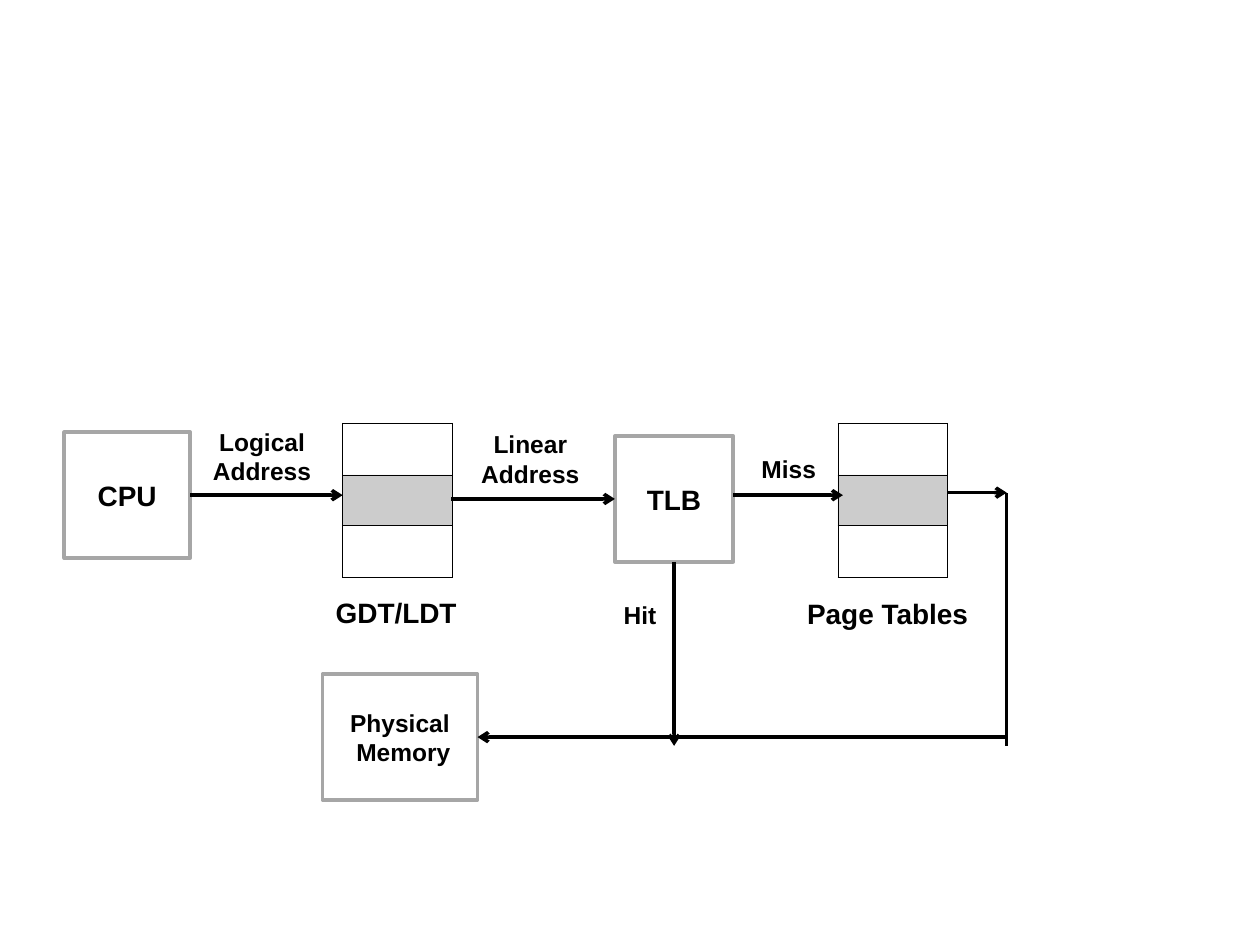
from lxml.etree import SubElement
from pptx import Presentation
from pptx.dml.color import RGBColor
from pptx.enum.shapes import MSO_CONNECTOR, MSO_SHAPE
from pptx.enum.text import MSO_ANCHOR, PP_ALIGN
from pptx.oxml.ns import qn
from pptx.util import Inches, Pt

COLORS = {"ink": "000000", "frame": "A6A6A6"}


def rgb(name):
    return RGBColor.from_string(COLORS[name])


def write_text(tf, text, size=14, bold=True, color="ink", font="Arial"):
    tf.word_wrap = True
    tf.vertical_anchor = MSO_ANCHOR.MIDDLE
    for i, line in enumerate(text.split("\n")):
        p = tf.paragraphs[0] if i == 0 else tf.add_paragraph()
        p.alignment = PP_ALIGN.CENTER
        r = p.add_run()
        r.text = line
        r.font.name, r.font.size, r.font.bold = font, Pt(size), bold
        r.font.color.rgb = rgb(color)


class Diagram:
    """Holds the line style and the current slide, and draws its elements."""

    line_width = Pt(2)
    border_width = Pt(0.45)
    row_heights = (0.41, 0.4, 0.41)

    def __init__(self, slide):
        self.slide = slide

    def label(self, text, x, y, w=1.1, h=0.68):
        sp = self.slide.shapes.add_textbox(Inches(x), Inches(y), Inches(w), Inches(h))
        write_text(sp.text_frame, text)

    def box(self, text, x, y, w, h=1, size=16, shape=MSO_SHAPE.RECTANGLE, framed=True):
        sp = self.slide.shapes.add_shape(
            shape, Inches(x), Inches(y), Inches(w), Inches(h))
        sp.shadow.inherit = False
        sp.fill.background()
        if framed:
            sp.line.color.rgb = rgb("frame")
            sp.line.width = self.line_width
        else:
            sp.line.fill.background()
        write_text(sp.text_frame, text, size=size)
        return sp

    def caption(self, text, x, y, w, h):
        self.box(text, x, y, w, h, shape=MSO_SHAPE.ROUNDED_RECTANGLE, framed=False)

    def line(self, start, end, begin=None, finish=None, arrow=True):
        cn = self.slide.shapes.add_connector(
            MSO_CONNECTOR.STRAIGHT, *(Inches(v) for v in (*start, *end)))
        cn.line.color.rgb = rgb("ink")
        cn.line.width = self.line_width
        if begin:
            cn.begin_connect(*begin)
        if finish:
            cn.end_connect(*finish)
        sp_pr = cn._element.spPr
        if arrow:
            SubElement(sp_pr.find(qn("a:ln")), qn("a:tailEnd"), type="arrow")
        SubElement(sp_pr, qn("a:effectLst"))

    def border(self, cell):
        tc_pr = cell._tc.get_or_add_tcPr()
        for side in ("lnL", "lnR", "lnT", "lnB"):
            ln = SubElement(tc_pr, qn(f"a:{side}"), w=str(self.border_width))
            fill = SubElement(ln, qn("a:solidFill"))
            SubElement(fill, qn("a:srgbClr"), val=COLORS["ink"])

    def lookup_table(self, x, y=3.36, w=0.87):
        frame = self.slide.shapes.add_table(
            len(self.row_heights), 1, Inches(x), Inches(y), Inches(w),
            Inches(sum(self.row_heights)))
        table = frame.table
        table.first_row = table.horz_banding = False
        for i, height in enumerate(self.row_heights):
            table.rows[i].height = Inches(height)
            cell = table.cell(i, 0)
            self.border(cell)
            if i == 1:
                cell.fill.solid()
                cell.fill.fore_color.rgb = rgb("ink")
                color = cell._tc.tcPr.find(qn("a:solidFill")).find(qn("a:srgbClr"))
                SubElement(color, qn("a:alpha"), val="20000")
            else:
                cell.fill.background()


def main():
    prs = Presentation()
    prs.slide_width, prs.slide_height = Inches(10), Inches(7.5)
    d = Diagram(prs.slides.add_slide(prs.slide_layouts[6]))

    for text, x, y in (("Logical Address", 1.53, 3.28), ("Linear Address", 3.66, 3.3),
                       ("Hit", 4.53, 4.54), ("Miss", 5.71, 3.38)):
        d.label(text, x, y)
    d.caption("Page Tables", 6.26, 4.49, 1.57, 0.76)
    d.caption("GDT/LDT", 2.48, 4.46, 1.33, 0.8)

    cpu = d.box("CPU", 0.51, 3.43, 1)
    memory = d.box("Physical\n Memory", 2.56, 5.35, 1.23, size=14)
    tlb = d.box("TLB", 4.88, 3.46, 0.94)

    d.line((1.51, 3.93), (2.72, 3.93), begin=(cpu, 3))
    d.line((3.58, 3.96), (4.88, 3.96), finish=(tlb, 1))
    d.line((5.82, 3.93), (6.69, 3.93))
    d.line((7.52, 3.91), (7.99, 3.91))
    d.line((7.99, 5.92), (7.99, 3.91), arrow=False)
    d.line((7.99, 5.85), (3.79, 5.85), finish=(memory, 3))
    d.line((5.35, 4.46), (5.35, 5.92), begin=(tlb, 2))

    for x in (2.72, 6.65):
        d.lookup_table(x)

    prs.save("out.pptx")


if __name__ == "__main__":
    main()
